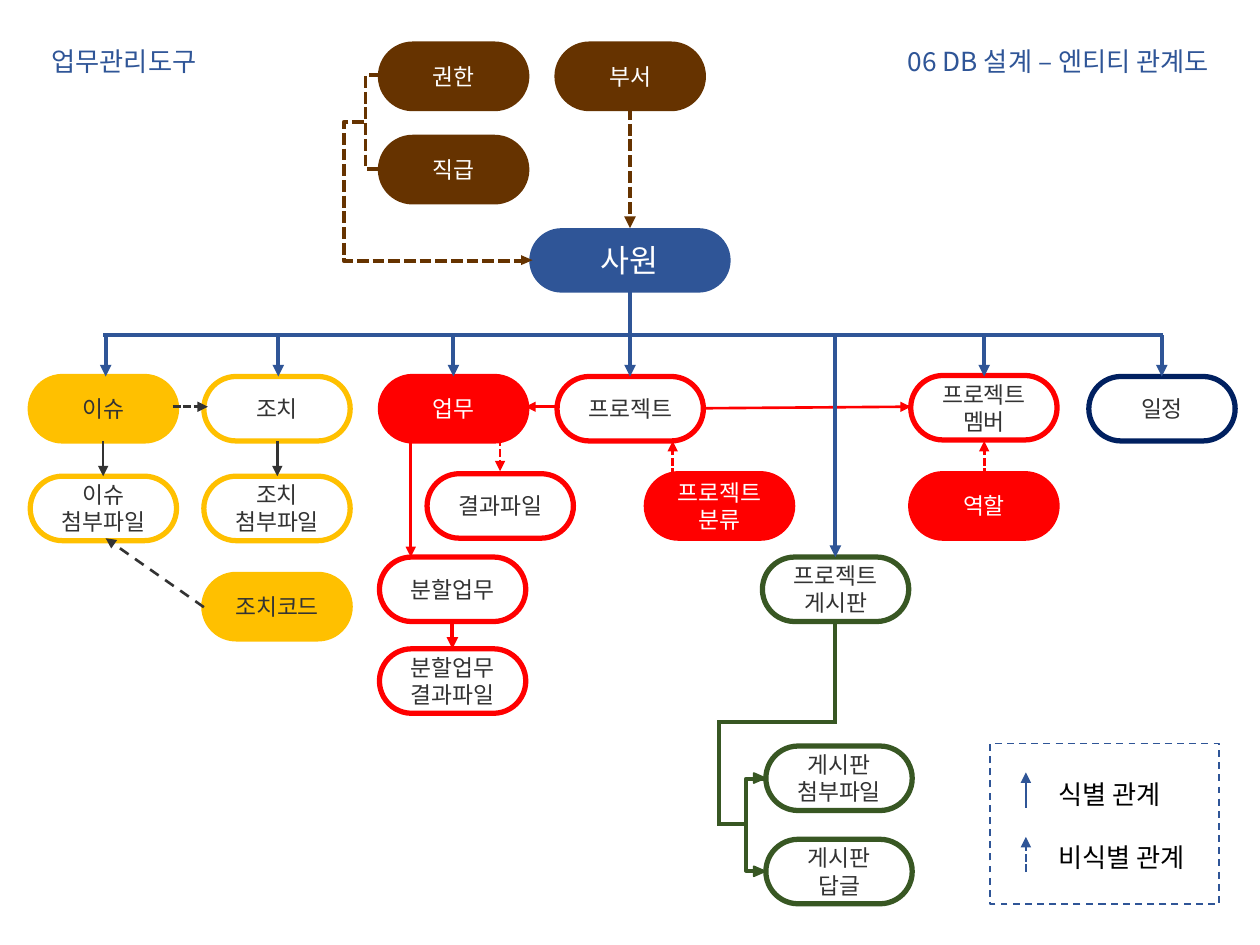
import lxml.etree
import pptx
import pptx.dml.color
import pptx.enum.dml
import pptx.enum.shapes
import pptx.enum.text
import pptx.oxml.ns
import pptx.util

Cm = pptx.util.Cm
Pt = pptx.util.Pt
qn = pptx.oxml.ns.qn
SHAPE = pptx.enum.shapes.MSO_SHAPE
CONNECTOR = pptx.enum.shapes.MSO_CONNECTOR
ALIGN = pptx.enum.text.PP_ALIGN
DASH = pptx.enum.dml.MSO_LINE.DASH
SHORT_DASH = pptx.enum.dml.MSO_LINE.SQUARE_DOT

BLUE, NAVY, RED, AMBER = "2F5597", "002060", "FF0000", "FFC000"
BROWN, GREEN, DARK, WHITE, BLACK = "663300", "385723", "333333", "FFFFFF", "000000"


def color(value):
    return pptx.dml.color.RGBColor.from_string(value)


def write(frame, text, size=13, ink=DARK, align=ALIGN.LEFT, gap=0):
    frame.word_wrap = True
    for index, line in enumerate(text.split("\n")):
        para = frame.add_paragraph() if index else frame.paragraphs[0]
        para.alignment = align
        para.line_spacing = Pt(round(size * 1.19, 1))
        if index:
            para.space_before = Pt(gap)
        span = para.add_run()
        span.text = line
        span.font.size = Pt(size)
        span.font.color.rgb = color(ink)
        span.font.name = Diagram.font
        east = lxml.etree.SubElement(span._r.get_or_add_rPr(), qn("a:ea"))
        east.set("typeface", Diagram.font)


class Diagram:
    font = "Noto Sans CJK KR"
    pill_width, pill_height = 2.95, 1.3

    def __init__(self, page):
        self.page = page

    def label(self, text, left, top, width, height, **style):
        box = self.page.shapes.add_textbox(Cm(left), Cm(top), Cm(width), Cm(height))
        write(box.text_frame, text, **style)
        box.text_frame.auto_size = pptx.enum.text.MSO_AUTO_SIZE.SHAPE_TO_FIT_TEXT

    def shape(self, kind, left, top, width, height, fill=None, edge=None, weight=1):
        box = self.page.shapes.add_shape(kind, Cm(left), Cm(top), Cm(width), Cm(height))
        box.shadow.inherit = False
        if fill:
            box.fill.solid()
            box.fill.fore_color.rgb = color(fill)
        else:
            box.fill.background()
        if edge:
            box.line.color.rgb = color(edge)
            box.line.width = Pt(weight)
        else:
            box.line.fill.background()
        return box

    def pill(self, text, left, top, fill, edge=None, ink=DARK, size=13,
             width=pill_width, height=pill_height):
        box = self.shape(SHAPE.ROUNDED_RECTANGLE, left, top, width, height, fill, edge, 3)
        box.adjustments[0] = 0.5
        frame = box.text_frame
        frame.margin_left = frame.margin_right = 0
        frame.vertical_anchor = pptx.enum.text.MSO_ANCHOR.MIDDLE
        write(frame, text, size=size, ink=ink, align=ALIGN.CENTER)

    def arrowhead(self, left, top, fill, edge=None):
        self.shape(SHAPE.ISOSCELES_TRIANGLE, left, top, 0.2, 0.23, fill, edge).rotation = 90

    def line(self, start, end, ink, weight=1.5, dash=None, arrow=True,
             kind=CONNECTOR.STRAIGHT):
        link = self.page.shapes.add_connector(kind, *map(Cm, (*start, *end)))
        link.line.color.rgb = color(ink)
        link.line.width = Pt(weight)
        if dash:
            link.line.dash_style = dash
        properties = link._element.spPr
        if arrow:
            tail = lxml.etree.SubElement(properties.find(qn("a:ln")), qn("a:tailEnd"))
            tail.set("type", "triangle")
        lxml.etree.SubElement(properties, qn("a:effectLst"))
        return link

    def elbow(self, start, end, turn, ink, dash=None):
        link = self.line(start, end, ink, 2.25, dash, False, CONNECTOR.ELBOW)
        ratio = (turn - start[0]) / (end[0] - start[0])
        geometry = link._element.spPr.find(qn("a:prstGeom"))
        guides = geometry.find(qn("a:avLst"))
        if guides is None:
            guides = lxml.etree.SubElement(geometry, qn("a:avLst"))
        guide = lxml.etree.SubElement(guides, qn("a:gd"))
        guide.set("name", "adj1")
        guide.set("fmla", f"val {round(ratio * 100000)}")


def add_entities(diagram):
    solid = [
        ("업무", 7.67, 7.59, RED, WHITE),
        ("역할", 18.36, 9.55, RED, WHITE),
        ("프로젝트\n분류", 13.03, 9.55, RED, WHITE),
        ("이슈", 0.61, 7.59, AMBER, DARK),
        ("조치코드", 4.11, 11.58, AMBER, DARK),
        ("권한", 7.67, 0.89, BROWN, WHITE),
        ("직급", 7.67, 2.77, BROWN, WHITE),
        ("부서", 11.23, 0.89, BROWN, WHITE),
    ]
    outlined = [
        ("조치", 4.11, 7.59, AMBER),
        ("이슈\n첨부파일", 0.61, 9.6, AMBER),
        ("조치\n첨부파일", 4.11, 9.6, AMBER),
        ("프로젝트", 11.23, 7.59, RED),
        ("프로젝트\n멤버", 18.36, 7.57, RED),
        ("결과파일", 8.61, 9.55, RED),
        ("분할업무", 7.65, 11.23, RED),
        ("분할업무\n결과파일", 7.65, 13.08, RED),
        ("프로젝트\n게시판", 15.37, 11.23, GREEN),
        ("게시판\n첨부파일", 15.44, 15.04, GREEN),
        ("게시판\n답글", 15.44, 16.92, GREEN),
        ("일정", 21.95, 7.59, NAVY),
    ]
    diagram.pill("사원", 10.67, 4.6, BLUE, ink=WHITE, size=18, width=4.06)
    for text, left, top, fill, ink in solid:
        diagram.pill(text, left, top, fill, fill, ink)
    for text, left, top, edge in outlined:
        diagram.pill(text, left, top, WHITE, edge)


def add_relations(diagram):
    for x in (2.08, 5.59):
        diagram.line((x, 8.89), (x, 9.6), DARK)
    diagram.line((4.11, 12.24), (2.13, 10.85), DARK, dash=DASH)
    diagram.line((3.48, 8.2), (4.19, 8.2), DARK, dash=SHORT_DASH)

    for x in (13.56, 19.84):
        diagram.line((x, 9.6), (x, 8.89), RED, dash=SHORT_DASH)
    diagram.line((10.08, 8.84), (10.08, 9.5), RED, dash=SHORT_DASH)
    diagram.line((11.28, 8.2), (10.59, 8.2), RED)
    diagram.line((14.17, 8.23), (18.36, 8.2), RED)
    diagram.line((8.28, 8.89), (8.28, 11.23), RED)
    diagram.line((9.12, 12.52), (9.12, 13.08), RED, 2.25)

    diagram.elbow((7.67, 1.52), (7.65, 3.4), 7.37, BROWN, SHORT_DASH)
    diagram.elbow((7.34, 2.46), (10.67, 5.26), 6.93, BROWN, SHORT_DASH)
    diagram.arrowhead(10.52, 5.13, BROWN)
    diagram.line((12.7, 2.18), (12.7, 4.6), BROWN, 2.25, SHORT_DASH)

    diagram.elbow((15.44, 15.7), (15.39, 17.55), 15.04, GREEN)
    for start, end in (
        ((16.84, 12.52), (16.84, 14.55)),
        ((16.87, 14.55), (14.45, 14.55)),
        ((14.5, 14.55), (14.5, 16.66)),
        ((14.5, 16.61), (15.06, 16.61)),
    ):
        diagram.line(start, end, GREEN, 2.25, arrow=False)
    for top in (15.57, 17.45):
        diagram.arrowhead(15.21, top, GREEN, GREEN)

    bus = 6.76
    diagram.line((12.7, 5.89), (12.7, 7.59), BLUE, 2.25)
    for x in (2.13, 5.61, 9.14, 19.84, 23.42):
        diagram.line((x, bus), (x, 7.59), BLUE, 2.25)
    diagram.line((16.84, bus), (16.84, 11.23), BLUE, 2.25)
    diagram.line((2.08, bus), (23.44, bus), BLUE, 2.25, arrow=False)


def add_legend(diagram):
    diagram.label("식별 관계\n비식별 관계", 21.08, 15.57, 3.5, 2.18, size=15, ink=BLACK, gap=18)
    frame = diagram.shape(SHAPE.RECTANGLE, 19.96, 14.99, 4.62, 3.23, edge=BLUE)
    frame.line.dash_style = DASH
    diagram.line((20.68, 17.58), (20.68, 16.87), BLUE, dash=SHORT_DASH)
    diagram.line((20.68, 16.28), (20.68, 15.57), BLUE)


def main():
    deck = pptx.Presentation()
    deck.slide_width, deck.slide_height = Cm(25.4), Cm(19.05)
    diagram = Diagram(deck.slides.add_slide(deck.slide_layouts[6]))
    diagram.label("업무관리도구", 0.79, 0.79, 7.47, 0.89, size=15, ink=BLUE)
    diagram.label("06 DB 설계 – 엔티티 관계도", 17.15, 0.79, 7.47, 0.89,
                  size=15, ink=BLUE, align=ALIGN.RIGHT)
    add_entities(diagram)
    add_relations(diagram)
    add_legend(diagram)
    deck.save("out.pptx")


if __name__ == "__main__":
    main()
